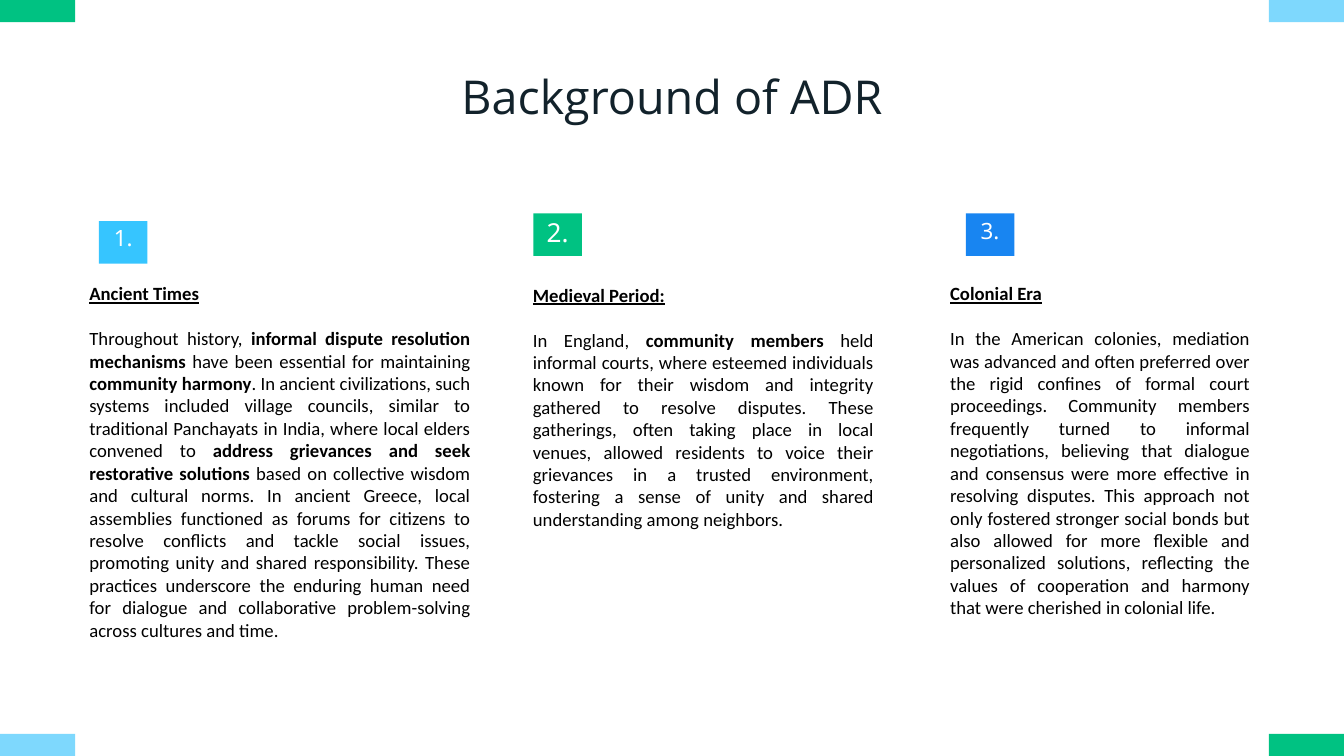
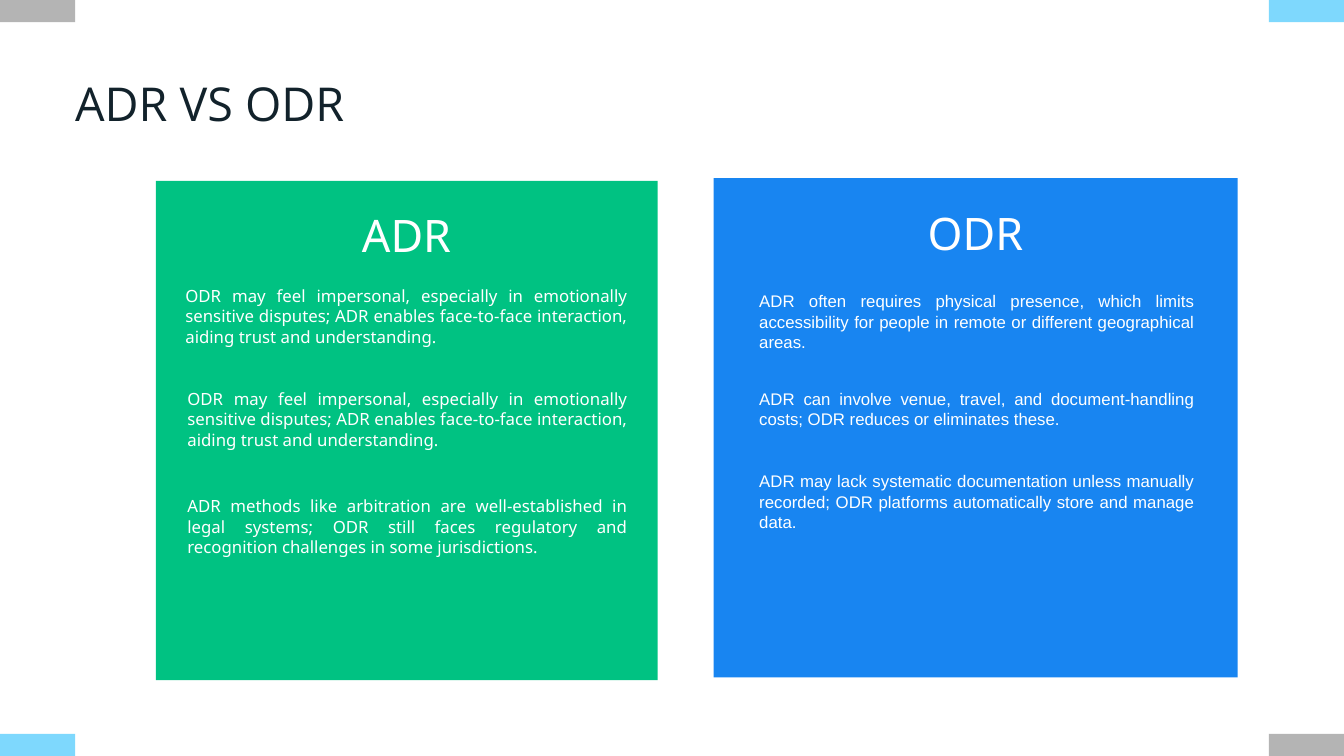
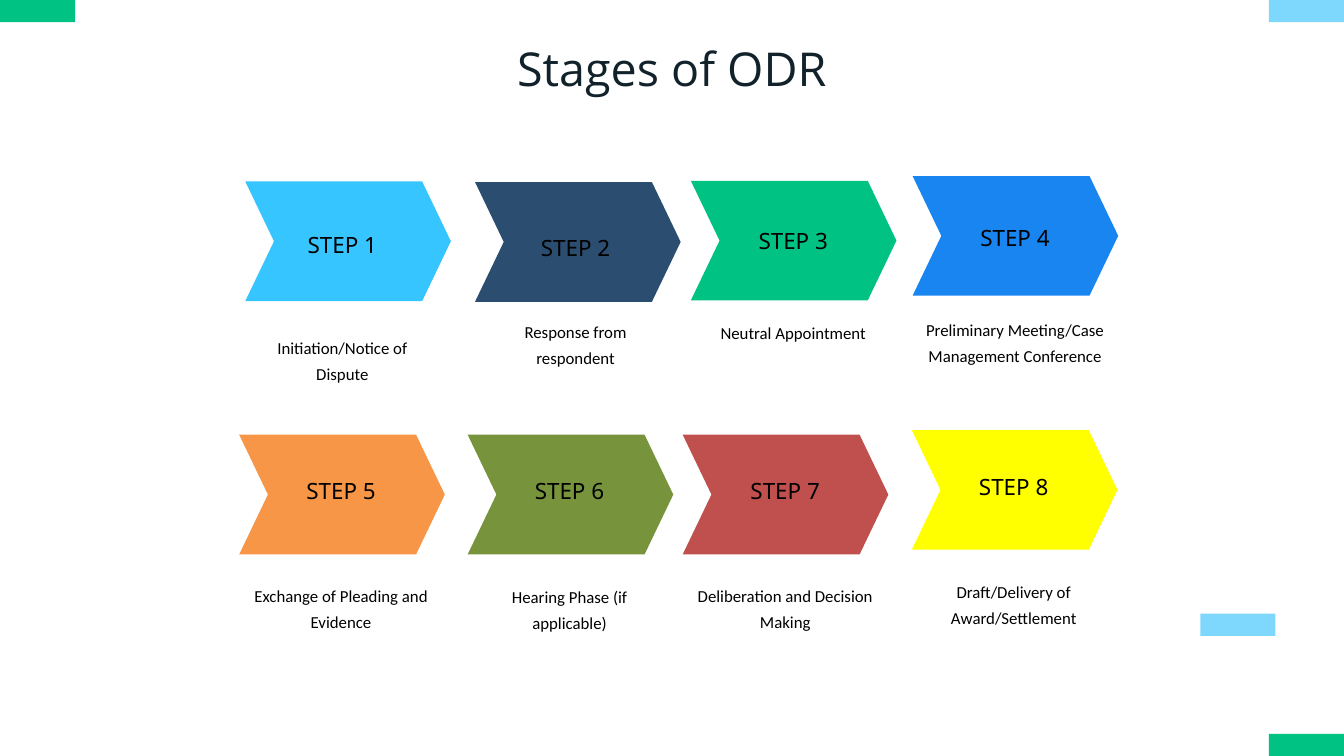
from pptx import Presentation
from pptx.dml.color import RGBColor
from pptx.enum.shapes import MSO_SHAPE
from pptx.enum.text import MSO_ANCHOR, PP_ALIGN
from pptx.util import Pt

WIDTH, HEIGHT = 1440, 810
WHITE = RGBColor(0xFF, 0xFF, 0xFF)
BLACK = RGBColor(0x00, 0x00, 0x00)
INK = RGBColor(0x12, 0x22, 0x2B)
GREEN = RGBColor(0x00, 0xC2, 0x82)
BLUE = RGBColor(0x18, 0x85, 0xF1)
SKY = RGBColor(0x36, 0xC5, 0xFF)
PALE = RGBColor(0x7E, 0xD8, 0xFD)
GREY = RGBColor(0xB4, 0xB4, 0xB4)
NAVY = RGBColor(0x2A, 0x4D, 0x70)
ORANGE = RGBColor(0xF7, 0x96, 0x46)
OLIVE = RGBColor(0x77, 0x93, 0x3C)
RED = RGBColor(0xC0, 0x50, 0x4D)
YELLOW = RGBColor(0xFF, 0xFF, 0x00)

HEAD, SANS, BODY, PLAIN = "Open Sans", "Noto Sans", "Calibri", "Arial"
LEFT, MID, FULL = PP_ALIGN.LEFT, PP_ALIGN.CENTER, PP_ALIGN.JUSTIFY
TAB_W, TAB_H = 80.6, 23.8


class Deck:
    def __init__(self):
        self.prs = Presentation()
        self.prs.slide_width, self.prs.slide_height = Pt(WIDTH), Pt(HEIGHT)
        self.slide = None

    def page(self, title, box, accent, align=MID, low=(0, HEIGHT - TAB_H)):
        """Start a slide with its title and four coloured tabs."""
        self.slide = self.prs.slides.add_slide(self.prs.slide_layouts[6])
        self.text(title, box, 50, HEAD, INK, align, 58)
        right, base = WIDTH - TAB_W, HEIGHT - TAB_H
        for (x, y), color in ((low, PALE), ((right, 0), PALE),
                              ((0, 0), accent), ((right, base), accent)):
            self.shape((x, y, TAB_W, TAB_H), color)

    def shape(self, box, color, kind=MSO_SHAPE.RECTANGLE):
        item = self.slide.shapes.add_shape(kind, *map(Pt, box))
        item.shadow.inherit = False
        item.fill.solid()
        item.fill.fore_color.rgb = color
        item.line.fill.background()
        return item

    def style(self, para, size, font, color, align, pitch=None):
        para.alignment = align
        if pitch:
            para.line_spacing = Pt(pitch)
        for run in para.runs:
            run.font.size, run.font.name = Pt(size), font
            run.font.color.rgb = color

    def frame(self, box, inset=(0, 0), anchor=MSO_ANCHOR.TOP):
        frame = self.slide.shapes.add_textbox(*map(Pt, box)).text_frame
        frame.word_wrap = True
        frame.vertical_anchor = anchor
        frame.margin_left = frame.margin_right = Pt(inset[0])
        frame.margin_top = frame.margin_bottom = Pt(inset[1])
        return frame

    def text(self, words, box, size, font, color, align, pitch,
             inset=(0, 0), anchor=MSO_ANCHOR.TOP):
        frame = self.frame(box, inset, anchor)
        frame.text = words
        self.style(frame.paragraphs[0], size, font, color, align, pitch)

    def badge(self, label, x, y, color, size):
        frame = self.shape((x, y, 52, 45.5), color).text_frame
        frame.vertical_anchor = MSO_ANCHOR.TOP
        frame.text = label
        self.style(frame.paragraphs[0], size, SANS, WHITE, MID)

    def story(self, head, body, box):
        """Underlined heading over justified text; ** marks bold parts."""
        frame = self.frame(box)
        frame.text = head
        top, para = frame.paragraphs[0], frame.add_paragraph()
        for i, part in enumerate(body.split("**")):
            run = para.add_run()
            run.text = part
            run.font.bold = i % 2 == 1
        para.space_before = Pt(24)
        self.style(top, 20, BODY, BLACK, LEFT, 24)
        self.style(para, 20, BODY, BLACK, FULL, 24)
        top.runs[0].font.bold = top.runs[0].font.underline = True

    def card(self, box, color, head, spot, font, notes):
        self.shape(box, color)
        self.text(head, spot, 48, SANS, WHITE, MID, 30.8,
                  (4.3, 4.3), MSO_ANCHOR.MIDDLE)
        for x, y, wide, words in notes:
            self.text(words, (x, y, wide, 72.7), 18, font, WHITE, FULL,
                      21.8, (7.2, 3.6))

    def step(self, num, color, arrow, label, note, top, wide):
        item = self.shape((*arrow, 220.3, 128.2), color, MSO_SHAPE.CHEVRON)
        item.adjustments[0] = 0.24
        x, y = label
        span = 221
        self.text(f"STEP {num}", (x, y, span, 31), 24, SANS, BLACK, MID, 33.6)
        self.text(note, (x + (span - wide) / 2, top, wide, 54), 18, BODY,
                  BLACK, MID, 28)


ERAS = [
    ("Ancient Times", (106, 237), SKY, 24, (95.8, 302.4, 408.2, 436),
     "Throughout history, **informal dispute resolution mechanisms** have been "
     "essential for maintaining **community harmony**. In ancient "
     "civilizations, such systems included village councils, similar to "
     "traditional Panchayats in India, where local elders convened to "
     "**address grievances and seek restorative solutions **based on "
     "collective wisdom and cultural norms. In ancient Greece, local "
     "assemblies functioned as forums for citizens to resolve conflicts and "
     "tackle social issues, promoting unity and shared responsibility. These "
     "practices underscore the enduring human need for dialogue and "
     "collaborative problem-solving across cultures and time."),
    ("Medieval Period:", (571.5, 228.7), GREEN, 28, (571, 303.8, 365, 339),
     "In England, **community members** held informal courts, where esteemed "
     "individuals known for their wisdom and integrity gathered to resolve "
     "disputes. These gatherings, often taking place in local venues, allowed "
     "residents to voice their grievances in a trusted environment, fostering "
     "a sense of unity and shared understanding among neighbors."),
    ("Colonial Era", (1034.8, 228.7), BLUE, 24, (1018, 302.4, 321.1, 436),
     "In the American colonies, mediation was advanced and often preferred "
     "over the rigid confines of formal court proceedings. Community members "
     "frequently turned to informal negotiations, believing that dialogue and "
     "consensus were more effective in resolving disputes. This approach not "
     "only fostered stronger social bonds but also allowed for more flexible "
     "and personalized solutions, reflecting the values of cooperation and "
     "harmony that were cherished in colonial life."),
]

TRUST = ("ODR may feel impersonal, especially in emotionally sensitive "
         "disputes; ADR enables face-to-face interaction, aiding trust and "
         "understanding.")
ADR = [
    (191.5, 302.4, 487.5, TRUST),
    (193.7, 412.6, 485.3, TRUST),
    (193.7, 527.8, 485.3,
     "ADR methods like arbitration are well-established in legal systems; "
     "ODR still faces regulatory and recognition challenges in some "
     "jurisdictions."),
]
ODR = [
    (806.4, 308.2, 480.2,
     "ADR often requires physical presence, which limits accessibility for "
     "people in remote or different geographical areas."),
    (806.4, 412.6, 480.2,
     "ADR can involve venue, travel, and document-handling costs; ODR reduces "
     "or eliminates these."),
    (806.4, 501.1, 480.2,
     "ADR may lack systematic documentation unless manually recorded; ODR "
     "platforms automatically store and manage data."),
]

# Colour, arrow corner, label corner, note, note top, note width
STEPS = [
    (SKY, (262.8, 194.4), (256.3, 242.6),
     "Initiation/Notice of Dispute", 355, 164),
    (NAVY, (509, 195.1), (506.2, 246.2),
     "Response from respondent", 338.4, 164),
    (GREEN, (740.2, 193.7), (739.4, 239),
     "Neutral Appointment", 339.1, 194),
    (BLUE, (977.8, 188.6), (977, 235.4),
     "Preliminary Meeting/Case Management Conference", 336.2, 192),
    (ORANGE, (256.3, 465.8), (254.9, 506.2),
     "Exchange of Pleading and Evidence", 621.4, 192),
    (OLIVE, (501.1, 465.8), (499.7, 506.9),
     "Hearing Phase (if applicable)", 622.1, 192),
    (RED, (731.5, 465.8), (730.8, 506.2),
     "Deliberation and Decision Making", 621.4, 192),
    (YELLOW, (977, 460.8), (975.6, 501.8),
     "Draft/Delivery of Award/Settlement", 617, 192),
]


def main():
    deck = Deck()

    # Background: three eras side by side
    deck.page("Background of ADR", (249.8, 74.9, 941, 58.3), GREEN)
    for num, (head, spot, color, size, box, body) in enumerate(ERAS, 1):
        deck.badge(f"{num}.", *spot, color, size)
        deck.story(head, body, box)

    # Comparison: two cards
    deck.page("ADR VS ODR", (80.6, 82, 462.2, 58.3), GREY, LEFT)
    deck.card((167, 193.7, 537.8, 535), GREEN, "ADR",
              (249.8, 213.8, 371.5, 102.2), SANS, ADR)
    deck.card((764.6, 190.8, 561.6, 535), BLUE, "ODR",
              (893.5, 198, 303.1, 129.6), PLAIN, ODR)

    # Stages: eight arrows with notes
    deck.page("Stages of ODR", (0, 44.6, WIDTH, 59), GREEN, low=(1286, 657.4))
    for num, stage in enumerate(STEPS, 1):
        deck.step(num, *stage)

    deck.prs.save("out.pptx")


if __name__ == "__main__":
    main()
